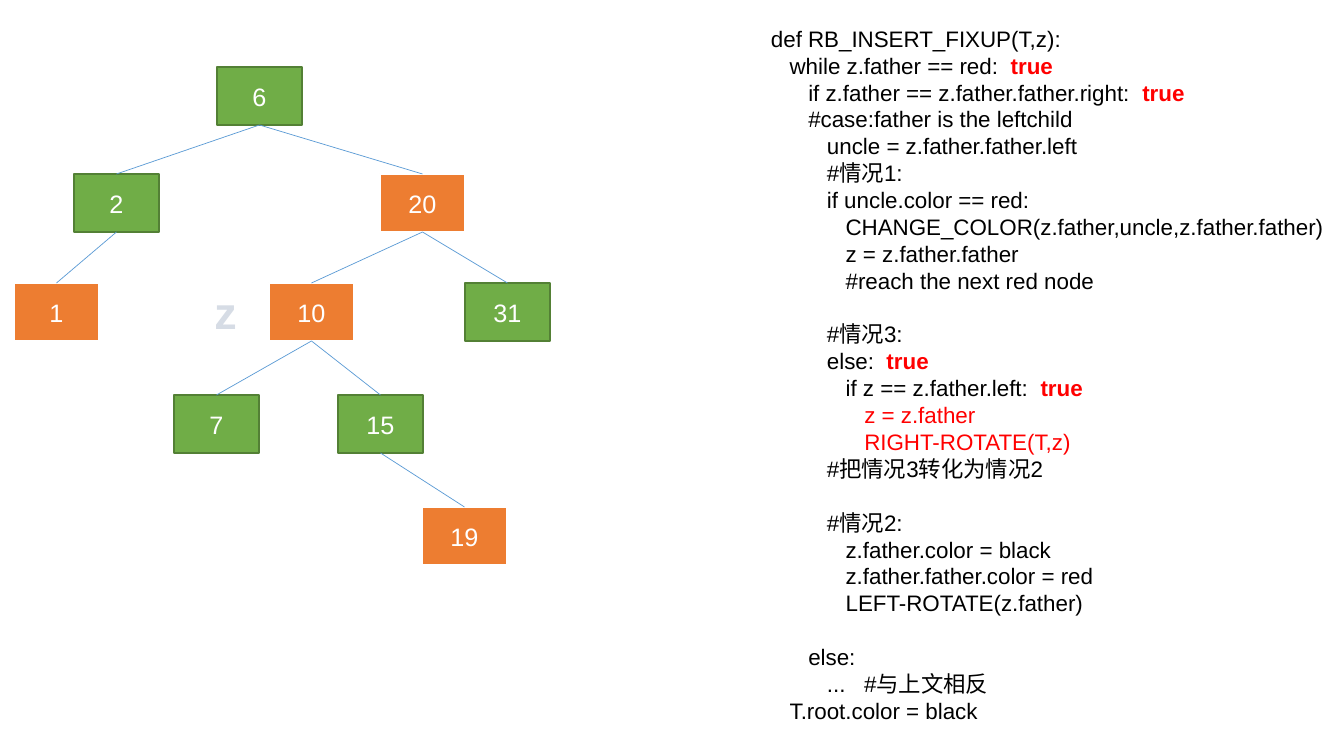
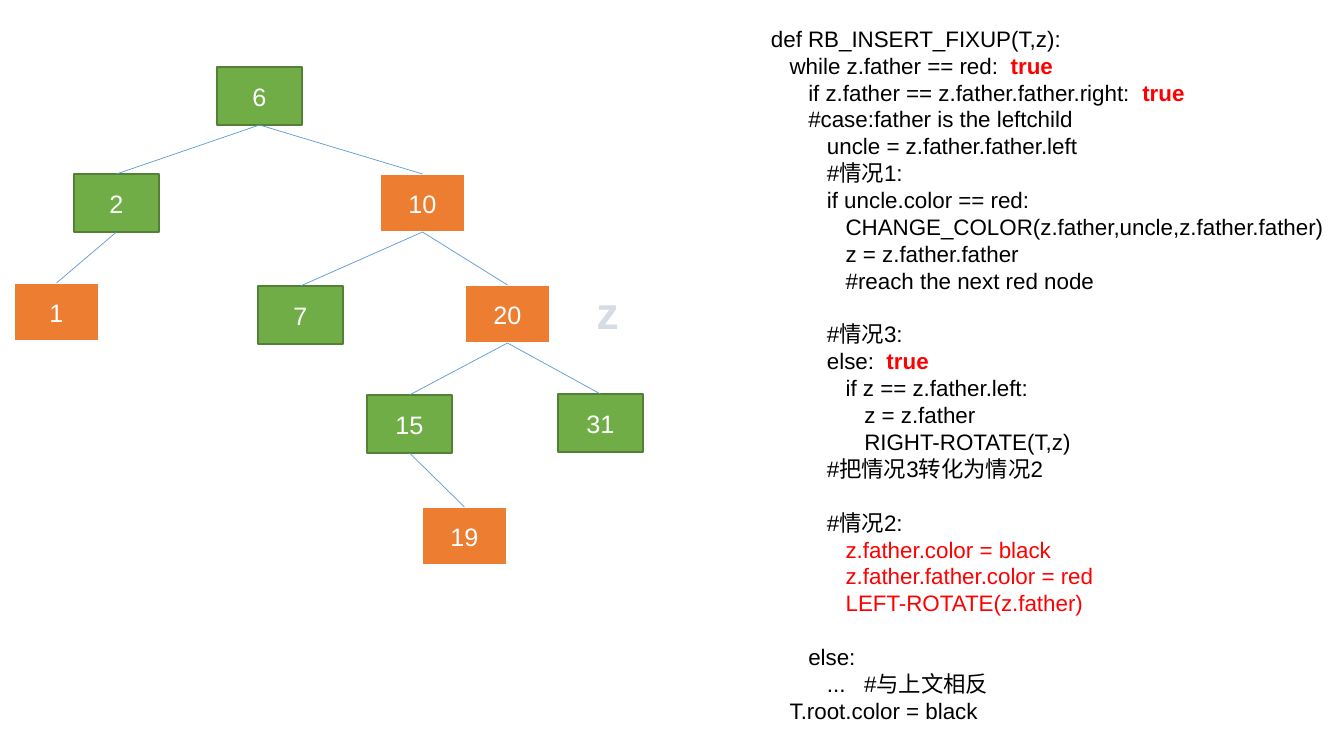
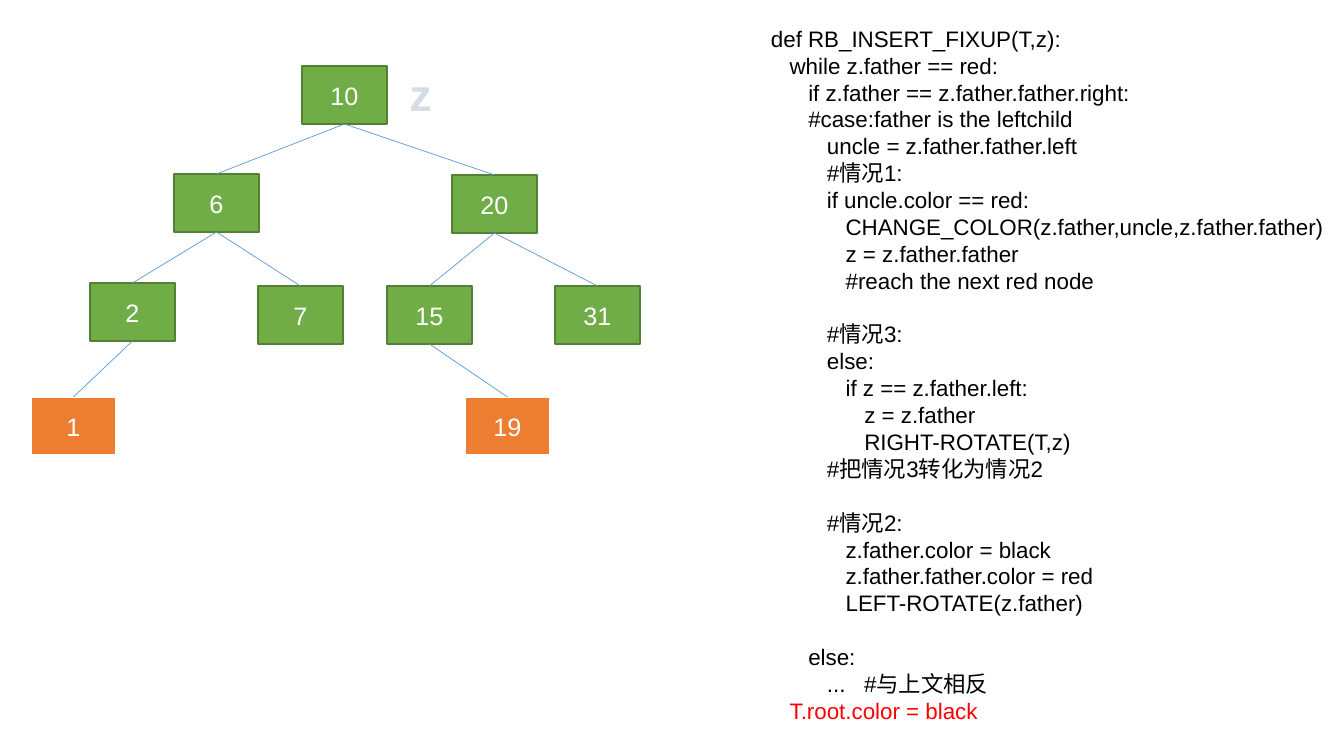
from pptx import Presentation
from pptx.dml.color import RGBColor
from pptx.enum.dml import MSO_PATTERN
from pptx.enum.shapes import MSO_CONNECTOR, MSO_SHAPE
from pptx.enum.text import MSO_ANCHOR, MSO_AUTO_SIZE, PP_ALIGN
from pptx.oxml.xmlchemy import OxmlElement
from pptx.util import Emu, Pt

RECT = MSO_SHAPE.RECTANGLE
STRAIGHT = MSO_CONNECTOR.STRAIGHT
DIAGONAL = MSO_PATTERN.DARK_UPWARD_DIAGONAL
MIDDLE = MSO_ANCHOR.MIDDLE
CENTER = PP_ALIGN.CENTER
FIT = MSO_AUTO_SIZE.SHAPE_TO_FIT_TEXT
TOP_SITE, BOTTOM_SITE = 0, 2

COLORS = {
    "black": "000000", "white": "FFFFFF", "red": "FF0000",
    "green": "70AD47", "dark green": "538035", "orange": "ED7D31",
    "edge": "5B9BD5", "slate": "44546A", "mist": "D6DCE5", "outline": "333F50",
}
NODE_STYLES = {
    "black": {"fill": "green", "line": "dark green", "width": 1},
    "red": {"fill": "orange", "line": "white", "width": 1.5},
}
FONTS = {
    "node": {"name": "Arial", "size": Pt(18)},
    "marker": {"name": "Arial", "size": Pt(32), "bold": True},
    "code": {"name": "Arial", "size": Pt(16), "bold": False},
    "true": {"name": "Arial", "size": Pt(16), "bold": True},
}
SCALE = 914400 / 100.8
NODE_W, NODE_H = 85, 58
MARKER_W, MARKER_H = 67, 65
CODE_LINE = 27
CODE_INDENT = Pt(13.34)
TREE_BOX = (14, 62)
CODE_BOX = (761, 20, 578, 716)

CODE = [
    (0, "def RB_INSERT_FIXUP(T,z):"),
    (1, "while z.father == red:"),
    (2, "if z.father == z.father.father.right:"),
    (2, "#case:father is the leftchild"),
    (3, "uncle = z.father.father.left"),
    (3, "#情况1:"),
    (3, "if uncle.color == red:"),
    (4, "CHANGE_COLOR(z.father,uncle,z.father.father)"),
    (4, "z = z.father.father"),
    (4, "#reach the next red node"),
    (3, "#情况3:"),
    (3, "else:"),
    (4, "if z == z.father.left:"),
    (5, "z = z.father"),
    (5, "RIGHT-ROTATE(T,z)"),
    (3, "#把情况3转化为情况2"),
    (3, "#情况2:"),
    (4, "z.father.color = black"),
    (4, "z.father.father.color = red"),
    (4, "LEFT-ROTATE(z.father)"),
    (2, "else:"),
    (3, "...   #与上文相反"),
    (1, "T.root.color = black"),
]
SECTION_STARTS = {10, 16, 20}

LEFT_BRANCH = {
    "6": (203, 5, "black", None),
    "2": (60, 112, "black", "6"),
    "1": (0, 221, "red", "2"),
}
STEPS = [
    {
        "nodes": {
            **LEFT_BRANCH,
            "20": (366, 112, "red", "6"),
            "10": (255, 221, "red", "20"),
            "31": (451, 221, "black", "20"),
            "7": (160, 333, "black", "10"),
            "15": (324, 333, "black", "10"),
            "19": (408, 445, "red", "15"),
        },
        "marker": (178, 218), "true": {1, 2, 11, 12}, "active": {13, 14},
    },
    {
        "nodes": {
            **LEFT_BRANCH,
            "10": (366, 112, "red", "6"),
            "7": (244, 224, "black", "10"),
            "20": (451, 223, "red", "10"),
            "15": (353, 333, "black", "20"),
            "31": (544, 332, "black", "20"),
            "19": (408, 445, "red", "15"),
        },
        "marker": (560, 218), "true": {1, 2, 11}, "active": {17, 18, 19},
    },
    {
        "nodes": {
            "10": (288, 4, "black", None),
            "6": (160, 112, "black", "10"),
            "20": (438, 113, "black", "10"),
            "2": (76, 221, "black", "6"),
            "7": (244, 224, "black", "6"),
            "15": (373, 224, "black", "20"),
            "31": (541, 224, "black", "20"),
            "1": (17, 335, "red", "2"),
            "19": (451, 335, "red", "15"),
        },
        "marker": (373, 0), "true": set(), "active": {22},
    },
]


def px(n):
    return Emu(round(n * SCALE))


def rgb(name):
    return RGBColor.from_string(COLORS[name])


def add_run(p, text, style, color=None):
    r = p.add_run()
    r.text = text
    for key, value in FONTS[style].items():
        setattr(r.font, key, value)
    if color:
        r.font.color.rgb = rgb(color)
    return r


def add_node(s, label, left, top, kind):
    style = NODE_STYLES[kind]
    sp = s.shapes.add_shape(RECT, px(left), px(top), px(NODE_W), px(NODE_H))
    sp.shadow.inherit = False
    sp.fill.solid()
    sp.fill.fore_color.rgb = rgb(style["fill"])
    sp.line.color.rgb = rgb(style["line"])
    sp.line.width = Pt(style["width"])
    tf = sp.text_frame
    tf.vertical_anchor = MIDDLE
    for side in ("left", "top", "right", "bottom"):
        setattr(tf, "margin_" + side, px(10))
    p = tf.paragraphs[0]
    p.alignment = CENTER
    add_run(p, label, "node", "white")
    return sp


def add_edge(s, parent, child):
    edge = s.shapes.add_connector(STRAIGHT, 0, 0, 0, 0)
    edge.begin_connect(parent, BOTTOM_SITE)
    edge.end_connect(child, TOP_SITE)
    edge.line.color.rgb = rgb("edge")
    edge.line.width = Pt(0.5)
    edge._element.spPr.append(OxmlElement("a:effectLst"))


def add_text_box(s, left, top, width, height):
    tf = s.shapes.add_textbox(px(left), px(top), px(width), px(height)).text_frame
    tf.word_wrap = True
    tf.auto_size = FIT
    return tf


def add_marker(s, left, top):
    p = add_text_box(s, left, top, MARKER_W, MARKER_H).paragraphs[0]
    p.alignment = CENTER
    r = add_run(p, "z", "marker")
    fill = r.font.fill
    fill.patterned()
    fill.pattern = DIAGONAL
    fill.fore_color.rgb = rgb("slate")
    fill.back_color.rgb = rgb("mist")
    ln, solid, clr = (OxmlElement("a:" + tag) for tag in ("ln", "solidFill", "srgbClr"))
    ln.set("w", str(Pt(1)))
    clr.set("val", COLORS["outline"])
    solid.append(clr)
    ln.append(solid)
    r.font._element.insert(0, ln)


def add_tree(s, box, nodes, marker):
    x, y = box
    placed = {}
    for label, (left, top, kind, parent) in nodes.items():
        placed[label] = add_node(s, label, x + left, y + top, kind)
        if parent:
            add_edge(s, placed[parent], placed[label])
    add_marker(s, x + marker[0], y + marker[1])


def add_code(s, box, true_lines, active_lines):
    tf = add_text_box(s, *box)
    for i, (level, text) in enumerate(CODE):
        p = tf.add_paragraph() if i else tf.paragraphs[0]
        pPr = p._p.get_or_add_pPr()
        pPr.set("marL", str(level * CODE_INDENT))
        pPr.set("indent", "0")
        if i in SECTION_STARTS:
            p.space_before = px(CODE_LINE)
        add_run(p, text, "code", "red" if i in active_lines else "black")
        if i in true_lines:
            add_run(p, "  true", "true", "red")


prs = Presentation()
prs.slide_width, prs.slide_height = px(1344), px(756)
blank = prs.slide_layouts[6]
for step in STEPS:
    s = prs.slides.add_slide(blank)
    add_tree(s, TREE_BOX, step["nodes"], step["marker"])
    add_code(s, CODE_BOX, step["true"], step["active"])
prs.save("out.pptx")
